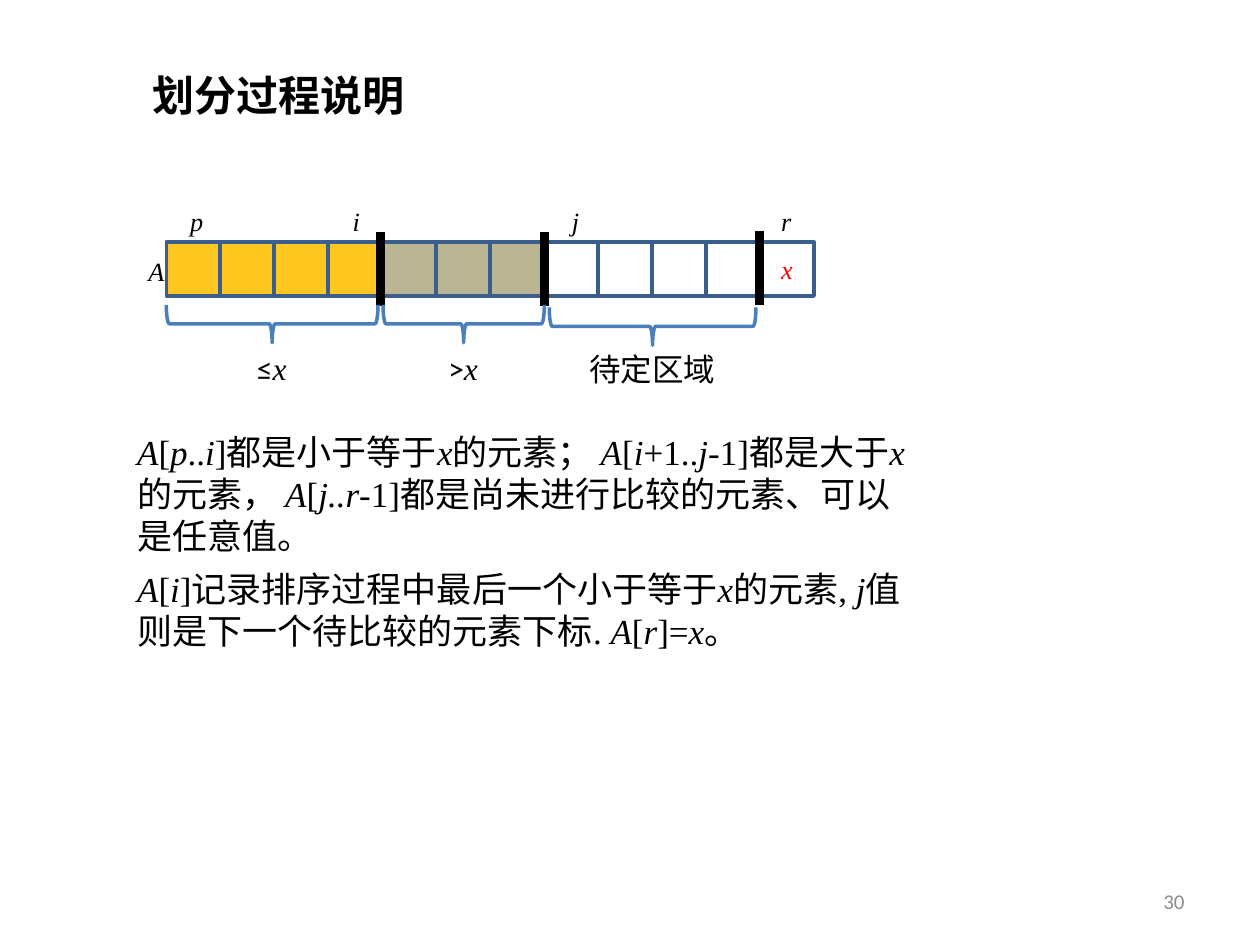
from lxml import etree
from pptx import Presentation
from pptx.dml.color import RGBColor
from pptx.enum.shapes import MSO_CONNECTOR, MSO_SHAPE
from pptx.enum.text import MSO_ANCHOR, PP_ALIGN
from pptx.oxml.ns import qn
from pptx.util import Inches, Pt

SERIF = "Times New Roman"
SANS = "Calibri"
HEADING = "Noto Sans CJK SC"

ROW_LEFT, ROW_TOP, ROW_WIDTH = 1.32, 1.92, 5.14
CELL_SIZE = 0.43
BORDER = "3A5F8C"
REGIONS = [("FFC000", 88)] * 4 + [("948A54", 63)] * 3 + [(None, 100)] * 5
INDEX_TABS = [1.29, 3.03, 4.69]
DIVIDERS = [(3.02, 1.84), (4.32, 1.84), (6.03, 1.83)]
BRACES = [(1.32, 2.42, 1.68), (3.04, 2.42, 1.28), (4.36, 2.44, 1.64)]
EXPLANATION = [
    "*A*[*p*..*i*]都是小于等于*x*的元素； *A*[*i*+1..*j*-1]都是大于*x*的元素， "
    "*A*[*j..r*-1]都是尚未进行比较的元素、可以是任意值。",
    "*A*[*i*]记录排序过程中最后一个小于等于*x*的元素, *j*值则是下一个待比较的元素下标. "
    "*A*[*r*]=*x*。",
]


def color(value):
    return RGBColor.from_string(value)


def write(frame, *paragraphs, size, font=SERIF, italic_font=SERIF, ink="000000",
          bold=False, align=PP_ALIGN.LEFT, anchor=MSO_ANCHOR.TOP, wrap=True, gap=0):
    frame.word_wrap = wrap
    frame.vertical_anchor = anchor
    for number, content in enumerate(paragraphs):
        paragraph = frame.add_paragraph() if number else frame.paragraphs[0]
        paragraph.alignment = align
        paragraph.space_before = Pt(gap if number else 0)
        for position, piece in enumerate(content.split("*")):
            if not piece:
                continue
            italic = position % 2 == 1
            run = paragraph.add_run()
            run.text = piece
            run.font.size = Pt(size)
            run.font.name = italic_font if italic else font
            run.font.italic = italic
            run.font.bold = bold
            run.font.color.rgb = color(ink)


def add_text(slide, left, top, width, height, *paragraphs, **style):
    box = slide.shapes.add_textbox(Inches(left), Inches(top), Inches(width), Inches(height))
    write(box.text_frame, *paragraphs, **style)
    return box


def set_tabs(paragraph, stops):
    tabs = etree.SubElement(paragraph._p.get_or_add_pPr(), qn("a:tabLst"))
    for stop in stops:
        etree.SubElement(tabs, qn("a:tab"), pos=str(Inches(stop)), algn="l")


def add_outline(slide, kind, left, top, width, height, line):
    shape = slide.shapes.add_shape(
        kind, Inches(left), Inches(top), Inches(width), Inches(height))
    shape.shadow.inherit = False
    shape.fill.background()
    shape.line.color.rgb = color(line)
    shape.line.width = Pt(2)
    return shape


def add_cell(slide, index, fill, opacity):
    left = ROW_LEFT + index * ROW_WIDTH / len(REGIONS)
    cell = add_outline(slide, MSO_SHAPE.RECTANGLE, left, ROW_TOP, CELL_SIZE, CELL_SIZE, BORDER)
    if fill:
        cell.fill.solid()
        cell.fill.fore_color.rgb = color(fill)
        swatch = cell._element.spPr.find(qn("a:solidFill"))[0]
        etree.SubElement(swatch, qn("a:alpha"), val=str(opacity * 1000))
    return cell


def add_divider(slide, x, top):
    divider = slide.shapes.add_connector(
        MSO_CONNECTOR.STRAIGHT, Inches(x), Inches(top), Inches(x), Inches(top + 0.59))
    divider.line.color.rgb = color("000000")
    divider.line.width = Pt(5)
    etree.SubElement(divider._element.spPr, qn("a:effectLst"))


def add_brace(slide, left, top, span, depth=0.3):
    brace = add_outline(slide, MSO_SHAPE.LEFT_BRACE, left + (span - depth) / 2,
                        top - (span - depth) / 2, depth, span, "4B7EBC")
    brace.rotation = 270
    brace.adjustments[0] = 0.08
    brace.adjustments[1] = 0.5


def main():
    presentation = Presentation()
    presentation.slide_width = Inches(10)
    presentation.slide_height = Inches(7.5)
    slide = presentation.slides.add_slide(presentation.slide_layouts[6])

    add_text(slide, 1.11, 0.5, 3.25, 0.5, "划分过程说明", size=24, font=HEADING, bold=True)

    cells = [add_cell(slide, index, *region) for index, region in enumerate(REGIONS)]
    write(cells[-1].text_frame, "*x*", size=15, ink="FF0000",
          align=PP_ALIGN.CENTER, anchor=MSO_ANCHOR.MIDDLE)
    indices = add_text(slide, 1.41, 1.58, 5.18, 0.35, "*p\ti\tj\tr*", size=15)
    set_tabs(indices.text_frame.paragraphs[0], INDEX_TABS)
    add_text(slide, 1.08, 1.98, 0.33, 0.35, "*A*", size=15, wrap=False)

    for divider in DIVIDERS:
        add_divider(slide, *divider)
    for brace in BRACES:
        add_brace(slide, *brace)

    add_text(slide, 1.94, 2.72, 0.45, 0.4, "≤*x*", size=18, font=SANS, wrap=False)
    add_text(slide, 3.46, 2.72, 0.53, 0.4, ">*x*", size=18, font=SANS)
    add_text(slide, 4.58, 2.73, 1.45, 0.4, "待定区域", size=18, font=SANS)
    add_text(slide, 0.99, 3.37, 6.34, 1.87, *EXPLANATION, size=20, gap=6)
    add_text(slide, 7.17, 6.95, 2.33, 0.4, "30", size=12, font=SANS, ink="8C8C8C",
             align=PP_ALIGN.RIGHT, anchor=MSO_ANCHOR.MIDDLE)

    presentation.save("out.pptx")


if __name__ == "__main__":
    main()
